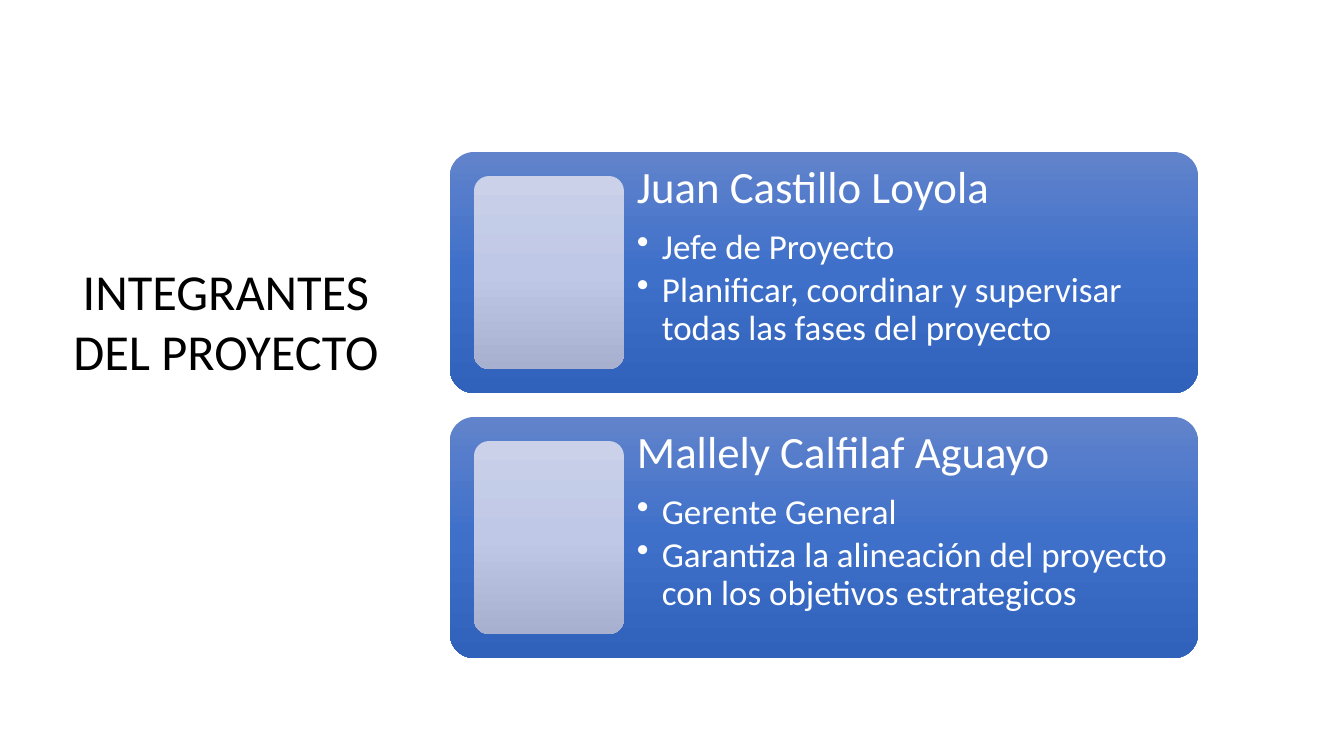
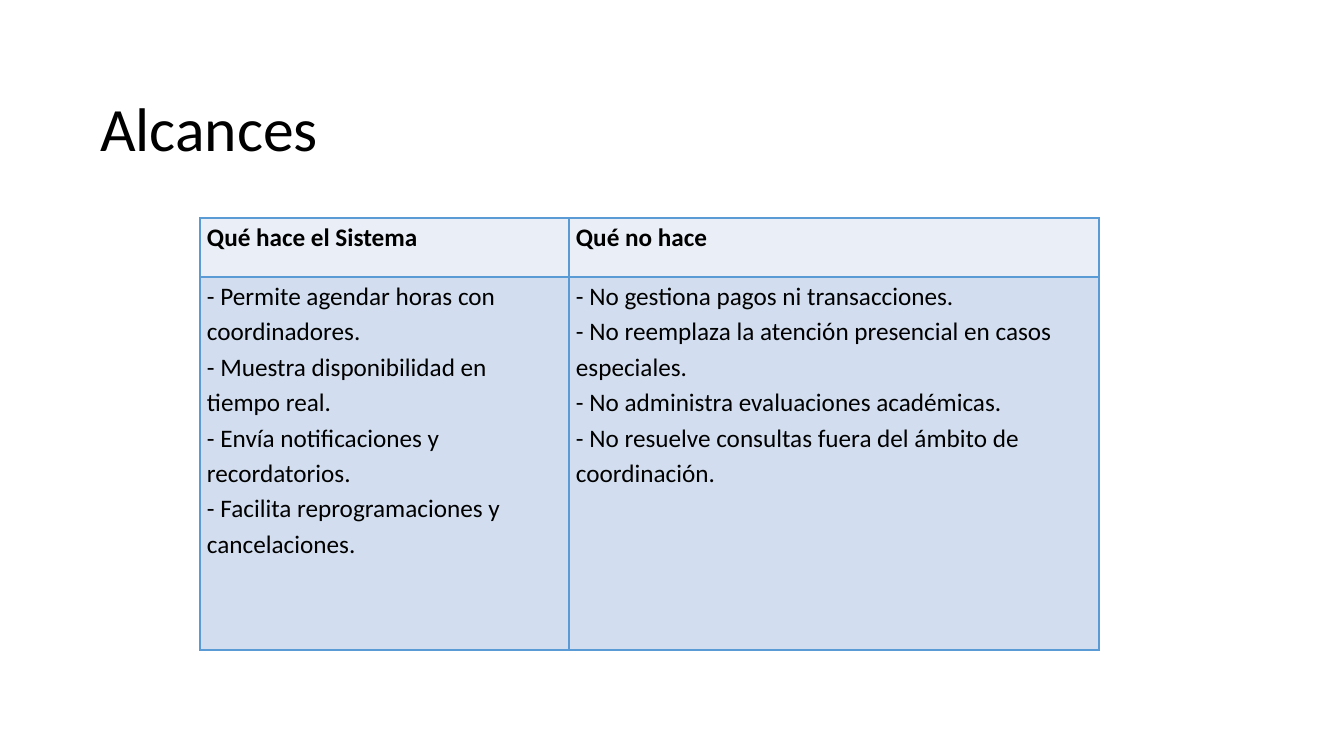
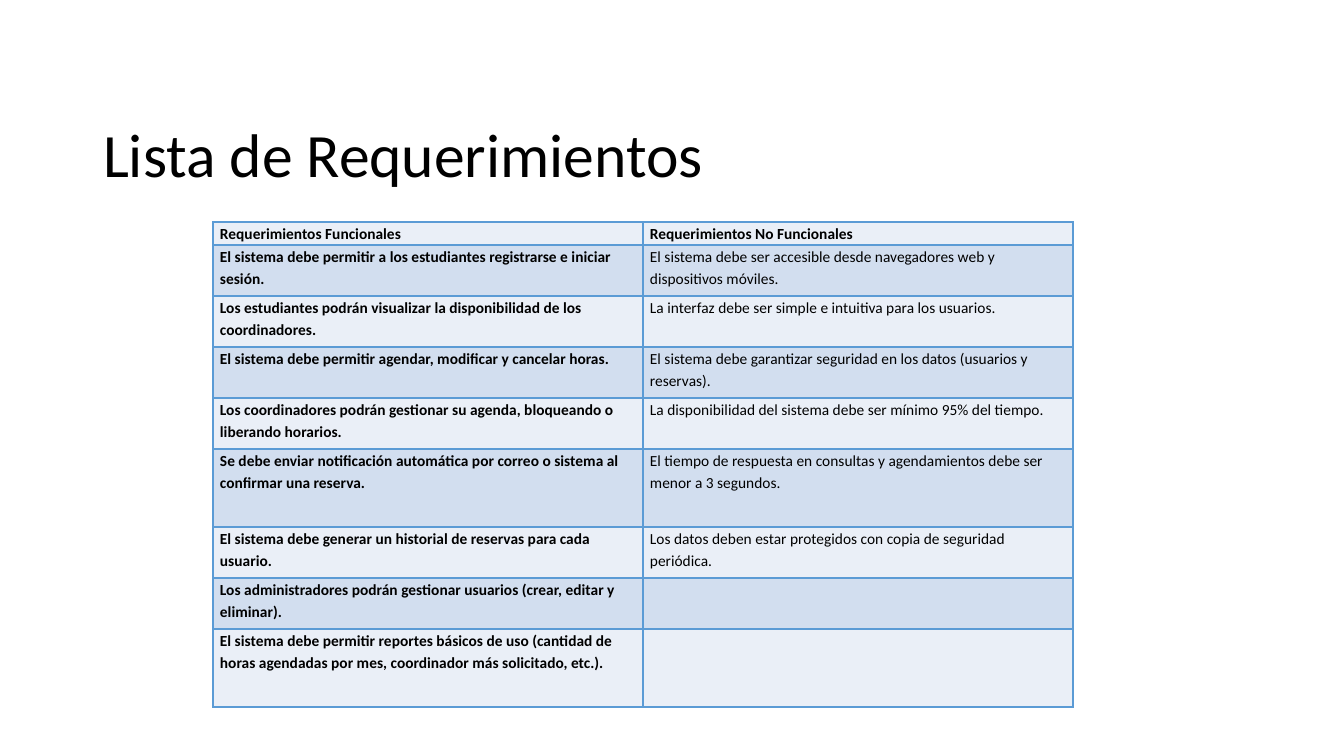
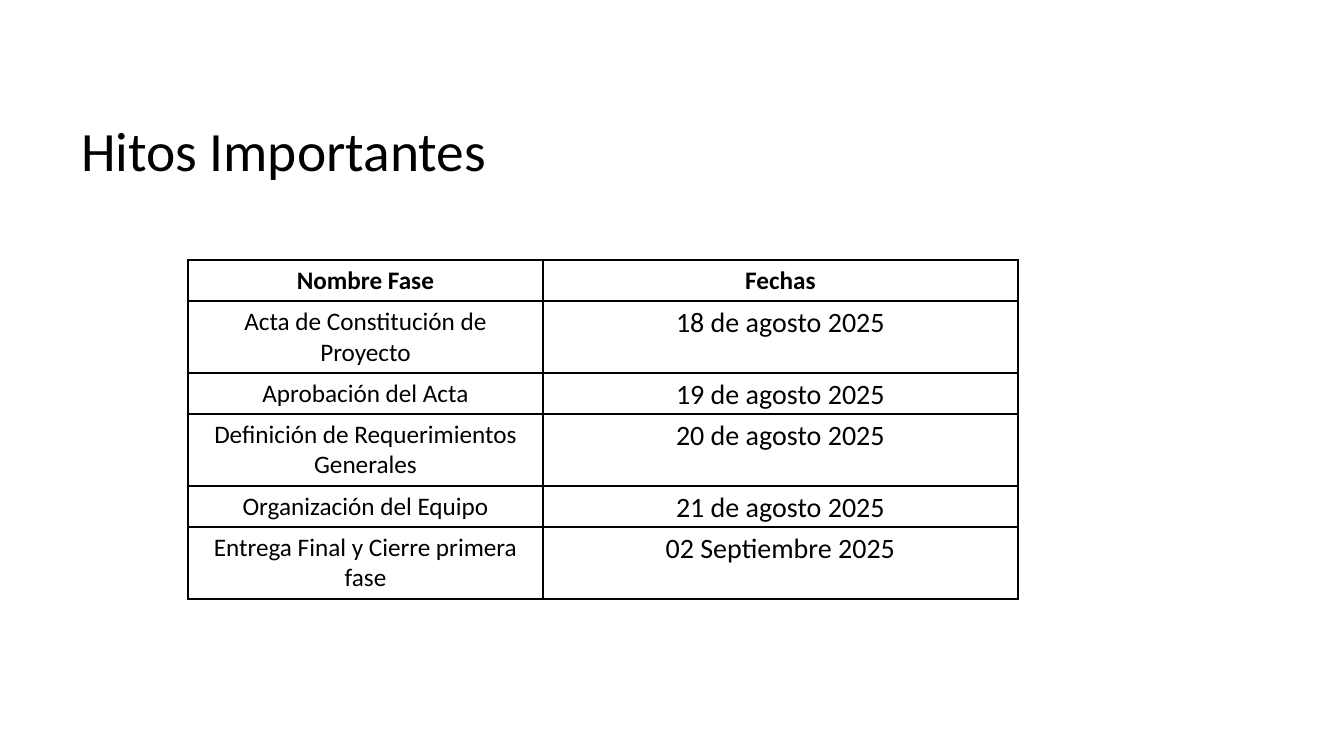
from copy import deepcopy
from itertools import cycle

from lxml.etree import SubElement
from pptx import Presentation
from pptx.dml.color import RGBColor
from pptx.enum.shapes import MSO_SHAPE
from pptx.enum.text import MSO_ANCHOR, MSO_AUTO_SIZE, PP_ALIGN
from pptx.oxml import parse_xml
from pptx.oxml.ns import nsdecls, qn
from pptx.util import Emu, Pt

PX_PER_INCH = 100.8
FONT = "Calibri"
BLACK = RGBColor(0x00, 0x00, 0x00)
WHITE = RGBColor(0xFF, 0xFF, 0xFF)
BORDER_BLUE = RGBColor(0x5B, 0x9B, 0xD5)
BAND_LIGHT = RGBColor(0xEA, 0xEF, 0xF7)
BAND_DARK = RGBColor(0xD2, 0xDE, 0xEF)
CARD_BLUES = (RGBColor(0x61, 0x83, 0xCB), RGBColor(0x3E, 0x70, 0xCA), RGBColor(0x30, 0x62, 0xBB))
PHOTO_BLUES = (RGBColor(0xCA, 0xD1, 0xE9), RGBColor(0xBF, 0xC8, 0xE6), RGBColor(0xA7, 0xB0, 0xCF))

SPACED = {"line_spacing": 1.15, "space_after": Pt(10)}
CENTERED = {"alignment": PP_ALIGN.CENTER}
TIGHT_CELL = {"margin_left": 7, "margin_right": 7, "margin_top": 0, "margin_bottom": 0}
ROOMY_CELL = {"margin_left": 10, "margin_right": 10, "margin_top": 5, "margin_bottom": 5}

MEMBERS = [
    ("Juan Castillo Loyola", "Jefe de Proyecto",
     "Planificar, coordinar y supervisar todas las fases del proyecto"),
    ("Mallely Calfilaf Aguayo", "Gerente General",
     "Garantiza la alineación del proyecto con los objetivos estrategicos"),
]
SCOPE = [
    ("Qué hace el Sistema", "Qué no hace"),
    ("- Permite agendar horas con coordinadores.\n"
     "- Muestra disponibilidad en tiempo real.\n"
     "- Envía notificaciones y recordatorios.\n"
     "- Facilita reprogramaciones y cancelaciones.",
     "- No gestiona pagos ni transacciones.\n"
     "- No reemplaza la atención presencial en casos especiales.\n"
     "- No administra evaluaciones académicas.\n"
     "- No resuelve consultas fuera del ámbito de coordinación."),
]
REQUIREMENTS = [
    ("Requerimientos Funcionales", "Requerimientos No Funcionales"),
    ("El sistema debe permitir a los estudiantes registrarse e iniciar sesión.",
     "El sistema debe ser accesible desde navegadores web y dispositivos móviles."),
    ("Los estudiantes podrán visualizar la disponibilidad de los coordinadores.",
     "La interfaz debe ser simple e intuitiva para los usuarios."),
    ("El sistema debe permitir agendar, modificar y cancelar horas.",
     "El sistema debe garantizar seguridad en los datos (usuarios y reservas)."),
    ("Los coordinadores podrán gestionar su agenda, bloqueando o liberando horarios.",
     "La disponibilidad del sistema debe ser mínimo 95% del tiempo."),
    ("Se debe enviar notificación automática por correo o sistema al confirmar una reserva.",
     "El tiempo de respuesta en consultas y agendamientos debe ser menor a 3 segundos."),
    ("El sistema debe generar un historial de reservas para cada usuario.",
     "Los datos deben estar protegidos con copia de seguridad periódica."),
    ("Los administradores podrán gestionar usuarios (crear, editar y eliminar).", ""),
    ("El sistema debe permitir reportes básicos de uso (cantidad de horas agendadas por mes, "
     "coordinador más solicitado, etc.).", ""),
]
MILESTONES = [
    ("Nombre Fase", "Fechas"),
    ("Acta de Constitución de Proyecto", "18 de agosto 2025"),
    ("Aprobación del Acta", "19 de agosto 2025"),
    ("Definición de Requerimientos Generales", "20 de agosto 2025"),
    ("Organización del Equipo", "21 de agosto 2025"),
    ("Entrega Final y Cierre primera fase", "02 Septiembre 2025"),
]


def px(length):
    return Emu(round(length * 914400 / PX_PER_INCH))


def apply(target, values):
    for name, value in values.items():
        setattr(target, name, value)


def write(paragraph, text, size, color=BLACK, bold=False, **layout):
    paragraph.text = text
    apply(paragraph, layout)
    for run in paragraph.runs:
        apply(run.font, {"name": FONT, "size": Pt(size), "bold": bold})
        run.font.color.rgb = color


def add_titled_slide(presentation, text, box, size=44, anchor=MSO_ANCHOR.MIDDLE,
                     alignment=PP_ALIGN.LEFT, line_spacing=0.9):
    slide = presentation.slides.add_slide(presentation.slide_layouts[5])
    title = slide.shapes.title
    apply(title, dict(zip(("left", "top", "width", "height"), map(px, box))))
    frame = title.text_frame
    apply(frame, {"word_wrap": True, "auto_size": MSO_AUTO_SIZE.NONE, "vertical_anchor": anchor})
    write(frame.paragraphs[0], text, size, alignment=alignment, line_spacing=line_spacing)
    return slide


def add_gradient_panel(slide, box, colors):
    panel = slide.shapes.add_shape(MSO_SHAPE.ROUNDED_RECTANGLE, *map(px, box))
    panel.adjustments[0] = 0.1
    panel.shadow.inherit = False
    panel.line.fill.background()
    panel.fill.gradient()
    panel.fill.gradient_angle = 270
    stops = panel.fill._xPr.find(".//" + qn("a:gsLst"))
    stops.insert(1, deepcopy(stops[0]))
    for stop, position, color in zip(panel.fill.gradient_stops, (0, 0.5, 1), colors):
        stop.position = position
        stop.color.rgb = color


def add_bullet(paragraph, indent):
    properties = paragraph._p.get_or_add_pPr()
    properties.set("marL", str(px(indent)))
    properties.set("indent", str(-px(indent)))
    SubElement(properties, qn("a:buChar")).set("char", "•")


def add_member_card(slide, box, member):
    left, top, width, height = box
    inset, photo_width = 24, 150
    text_left = left + inset + photo_width
    add_gradient_panel(slide, box, CARD_BLUES)
    text_box = slide.shapes.add_textbox(
        px(text_left), px(top), px(left + width - text_left), px(height))
    frame = text_box.text_frame
    frame.word_wrap = True
    apply(frame, {f"margin_{side}": px(13) for side in ("left", "right", "top", "bottom")})
    name, *duties = member
    write(frame.paragraphs[0], name, 32, WHITE, line_spacing=0.9, space_after=Pt(11.2))
    for duty in duties:
        paragraph = frame.add_paragraph()
        write(paragraph, duty, 25, WHITE, level=1, line_spacing=0.9, space_after=Pt(3.75))
        add_bullet(paragraph, 25)
    photo_box = (left + inset, top + inset, photo_width, height - 2 * inset)
    add_gradient_panel(slide, photo_box, PHOTO_BLUES)


def add_members(slide, box, members, gap=24):
    left, top, width, height = box
    card_height = (height - gap * (len(members) - 1)) / len(members)
    for index, member in enumerate(members):
        card_top = top + index * (card_height + gap)
        add_member_card(slide, (left, card_top, width, card_height), member)


def format_cell(cell, fill, border, margins):
    properties = cell._tc.get_or_add_tcPr()
    for side in "LRTB":
        properties.append(parse_xml(
            f'<a:ln{side} {nsdecls("a")} w="{Pt(1)}"><a:solidFill>'
            f'<a:srgbClr val="{border}"/></a:solidFill></a:ln{side}>'))
    cell.fill.solid()
    cell.fill.fore_color.rgb = fill
    apply(cell, {name: px(value) for name, value in margins.items()})


def add_grid(slide, origin, widths, heights, rows, fills, border, cell_style):
    frame = slide.shapes.add_table(
        len(rows), len(widths), *map(px, (*origin, sum(widths), sum(heights))))
    table = frame.table
    apply(table, {"first_row": False, "horz_banding": False})
    for column, width in zip(table.columns, widths):
        column.width = px(width)
    for row, height in zip(table.rows, heights):
        row.height = px(height)
    for row_index, (texts, fill) in enumerate(zip(rows, cycle(fills))):
        for column_index, text in enumerate(texts):
            style = cell_style(row_index, column_index)
            cell = table.cell(row_index, column_index)
            format_cell(cell, fill, border, style["margins"])
            cell.vertical_anchor = style.get("anchor", MSO_ANCHOR.TOP)
            if text:
                write(cell.text_frame.paragraphs[0], text, **style["text"])


def scope_style(row, column):
    return {"margins": TIGHT_CELL, "text": {"size": 18, "bold": row == 0, **SPACED}}


def requirement_style(row, column):
    return {"margins": TIGHT_CELL,
            "text": {"size": 11, "bold": row == 0 or column == 0, **SPACED}}


def milestone_style(row, column):
    if row and column:
        return {"margins": TIGHT_CELL, "text": {"size": 20, **CENTERED, **SPACED}}
    return {"margins": ROOMY_CELL, "anchor": MSO_ANCHOR.MIDDLE,
            "text": {"size": 18, "bold": row == 0, **CENTERED}}


def main():
    presentation = Presentation()
    apply(presentation, {"slide_width": px(1344), "slide_height": px(756)})
    bands = (BAND_LIGHT, BAND_DARK)

    slide = add_titled_slide(presentation, "INTEGRANTES DEL PROYECTO", (61, 255, 330, 132),
                             36, MSO_ANCHOR.TOP, PP_ALIGN.CENTER, 1.0)
    add_members(slide, (450, 152, 748, 506), MEMBERS)

    slide = add_titled_slide(presentation, "Alcances", (90, 90, 1159, 83))
    add_grid(slide, (200, 218), (369, 530), (59, 373), SCOPE, bands, BORDER_BLUE, scope_style)

    slide = add_titled_slide(presentation, "Lista de Requerimientos", (93, 116, 1159, 83))
    add_grid(slide, (213, 222), (430, 430), (23, 51, 51, 51, 51, 78, 51, 51, 78),
             REQUIREMENTS, bands, BORDER_BLUE, requirement_style)

    slide = add_titled_slide(presentation, "Hitos Importantes", (71, 118, 1159, 71), 39.6)
    add_grid(slide, (188, 260), (355, 475), (41, 72, 41, 72, 41, 72),
             MILESTONES, (WHITE,), BLACK, milestone_style)

    presentation.save("out.pptx")


if __name__ == "__main__":
    main()
